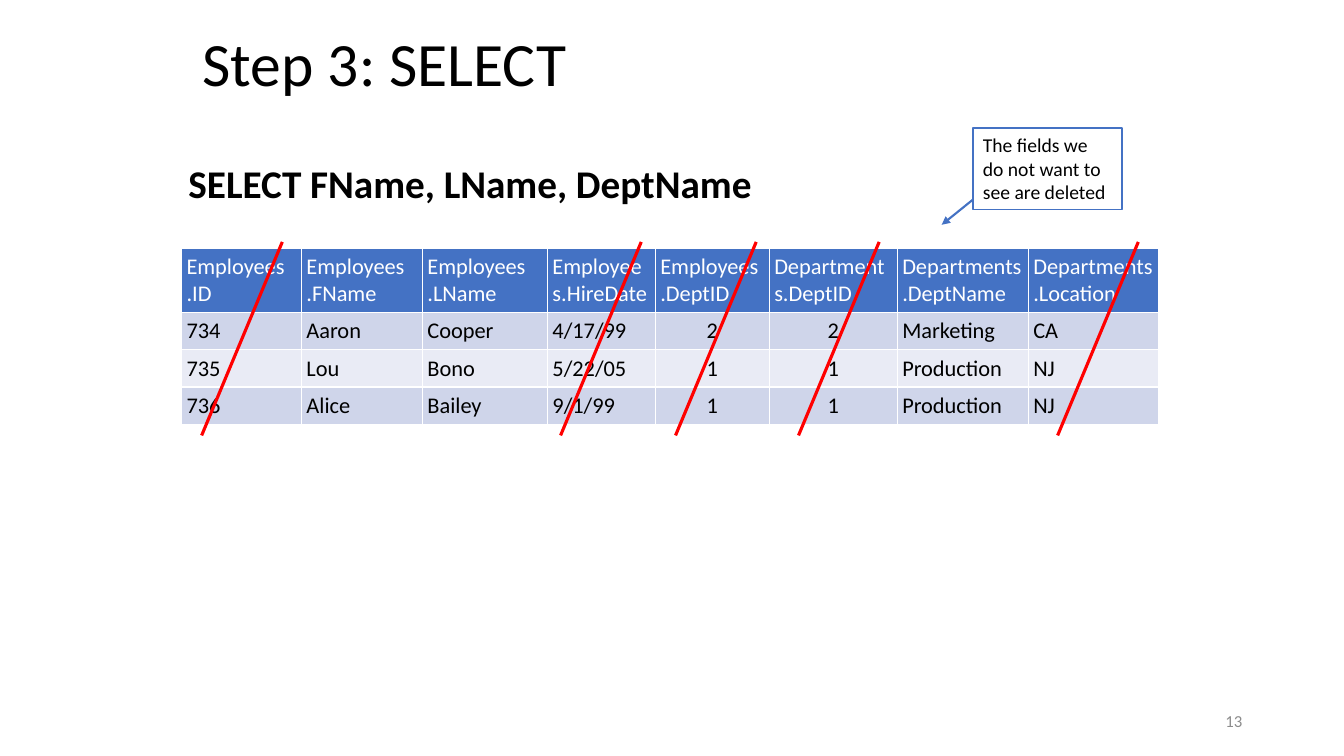
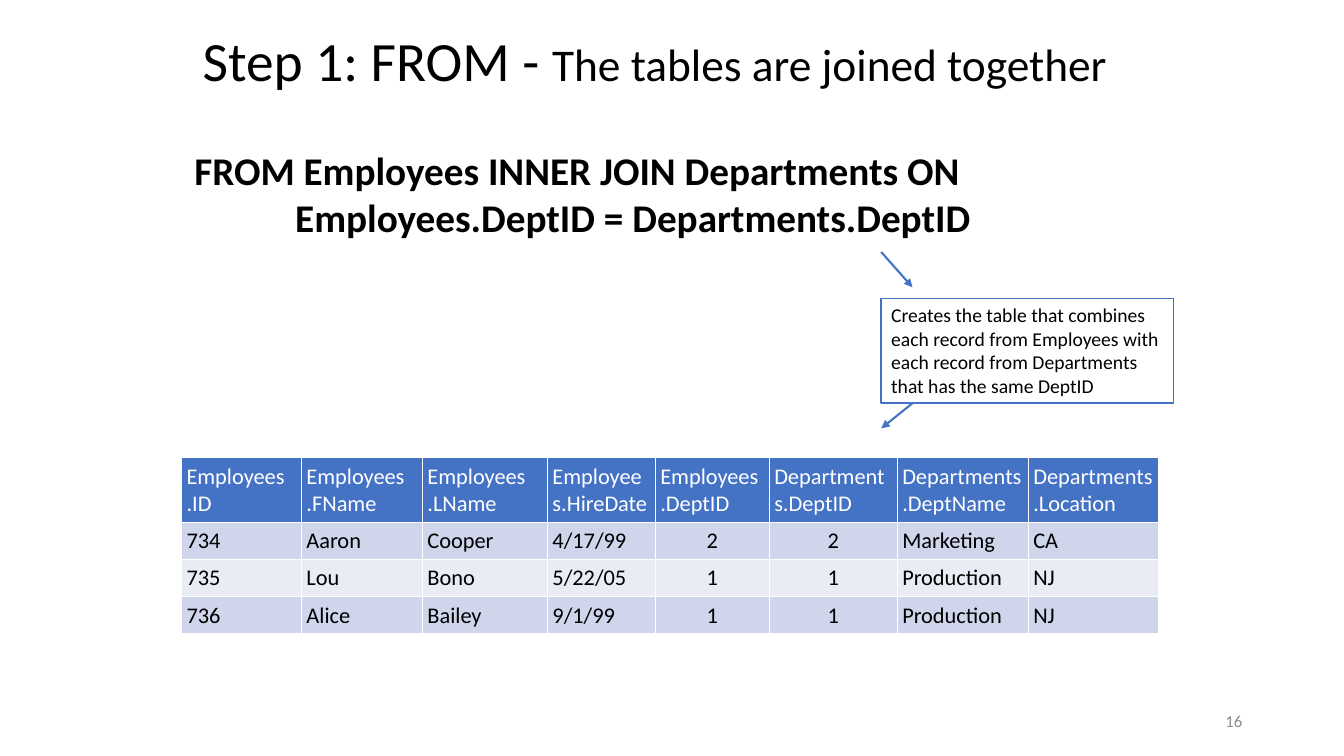
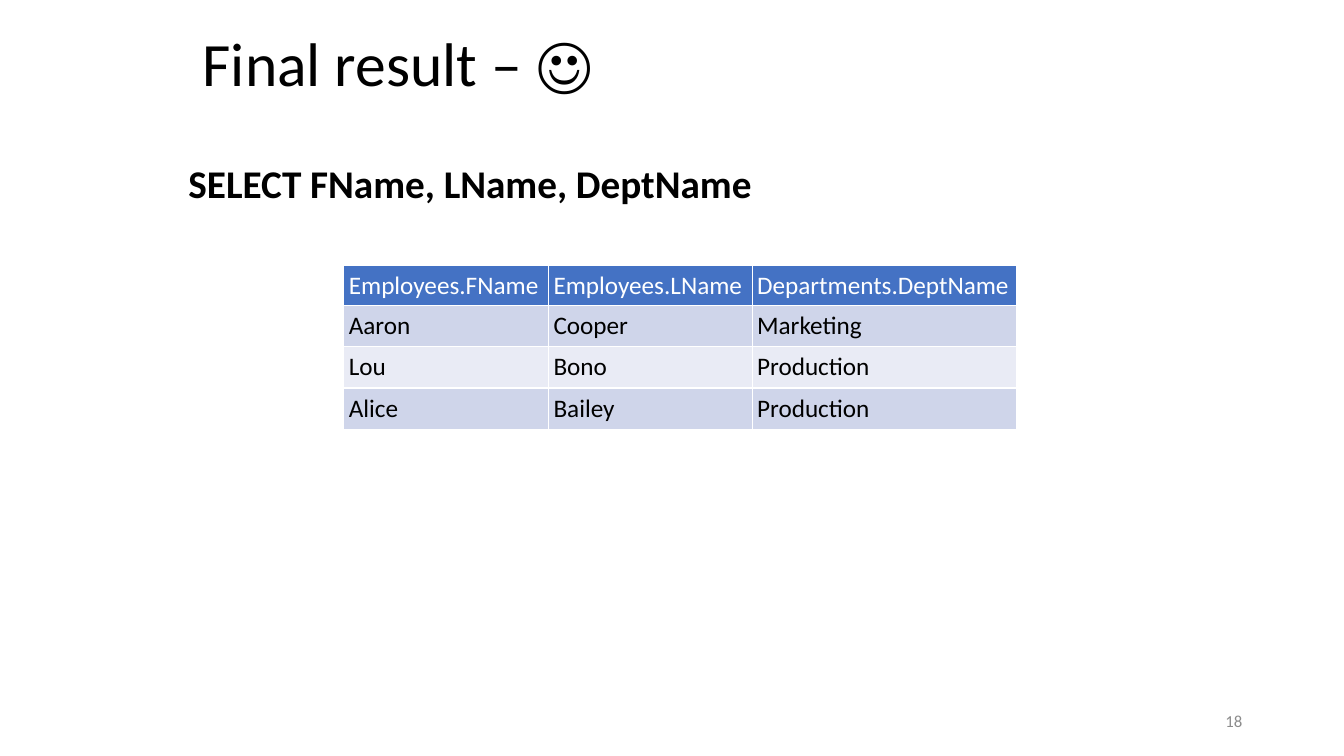
from dataclasses import dataclass
from typing import NamedTuple

from pptx import Presentation
from pptx import util as u
from pptx.dml.color import RGBColor
from pptx.enum import shapes, text
from pptx.oxml.ns import qn
from lxml import etree

PX = 9144  # EMU in one px, 100 px to the inch


# Theme and geometry
@dataclass(frozen=True)
class Theme:
    font: str = "Calibri"
    ink: str = "000000"
    paper: str = "FFFFFF"
    blue: str = "4472C4"
    red: str = "FF0000"
    gray: str = "8C8C8C"
    odd: str = "CFD5EA"
    even: str = "E9EBF5"
    title: float = 44
    query: float = 28
    note: float = 14
    foot: float = 12


class Box(NamedTuple):
    x: int
    y: int
    w: int
    h: int


class Line(NamedTuple):
    x1: int
    y1: int
    x2: int
    y2: int


@dataclass(frozen=True)
class Grid:
    x: int
    y: int
    cols: tuple[int, ...]
    head: int
    row: int
    size: float
    mid: tuple[int, ...] = ()


T = Theme()


# Shared data
ROWS = [
    ["Employees\n.ID", "Employees\n.FName", "Employees\n.LName", "Employees.HireDate",
     "Employees\n.DeptID", "Departments.DeptID", "Departments.DeptName", "Departments.Location"],
    ["734", "Aaron", "Cooper", "4/17/99", "2", "2", "Marketing", "CA"],
    ["735", "Lou", "Bono", "5/22/05", "1", "1", "Production", "NJ"],
    ["736", "Alice", "Bailey", "9/1/99", "1", "1", "Production", "NJ"],
]
KEPT = (1, 2, 6)
WIDTHS = (119, 120, 124, 107, 113, 127, 130, 129)
QUERY = Box(177, 153, 861, 57)
SELECT = "SELECT FName, LName, DeptName"


# Drawing helpers
def px(*nums: int) -> list[u.Emu]:
    return [u.Emu(n * PX) for n in nums]


def rgb(code: str) -> RGBColor:
    return RGBColor.from_string(code)


def style(frame, size: float, color: str = T.ink, bold: bool = False, align=text.PP_ALIGN.LEFT) -> None:
    for para in frame.paragraphs:
        para.alignment = align
        for run in para.runs:
            run.font.name = T.font
            run.font.size = u.Pt(size)
            run.font.bold = bold
            run.font.color.rgb = rgb(color)


def start(deck, num: str, parts: list[tuple[str, float]], top: int = 20):
    """Add a slide with its title and slide number."""
    slide = deck.slides.add_slide(deck.slide_layouts[5])
    title = slide.shapes.title
    title.left, title.top, title.width, title.height = px(191, top, 958, 92)
    frame = title.text_frame
    frame.vertical_anchor = text.MSO_ANCHOR.MIDDLE
    frame.auto_size = text.MSO_AUTO_SIZE.NONE
    para = frame.paragraphs[0]
    para.line_spacing = 0.9
    for words, _ in parts:
        para.add_run().text = words
    style(frame, T.title)
    for run, (_, size) in zip(para.runs, parts):
        run.font.size = u.Pt(size)
    foot = label(slide, Box(942, 695, 300, 40), num)
    foot.vertical_anchor = text.MSO_ANCHOR.MIDDLE
    style(foot, T.foot, T.gray, align=text.PP_ALIGN.RIGHT)
    return slide


def label(slide, box: Box, words: str):
    frame = slide.shapes.add_textbox(*px(*box)).text_frame
    frame.word_wrap = True
    frame.text = words
    return frame


def query(slide, box: Box, words: str, hang: int = 0) -> None:
    frame = label(slide, box, words)
    frame.auto_size = text.MSO_AUTO_SIZE.SHAPE_TO_FIT_TEXT
    if hang:
        props = frame.paragraphs[0]._p.get_or_add_pPr()
        props.set("marL", str(hang * PX))
        props.set("indent", str(-hang * PX))
    style(frame, T.query, bold=True)


def note(slide, box: Box, words: str) -> None:
    shape = slide.shapes.add_shape(shapes.MSO_SHAPE.RECTANGLE, *px(*box))
    shape.shadow.inherit = False
    shape.fill.solid()
    shape.fill.fore_color.rgb = rgb(T.paper)
    shape.line.color.rgb = rgb(T.blue)
    shape.line.width = u.Pt(1)
    frame = shape.text_frame
    frame.word_wrap = True
    frame.auto_size = text.MSO_AUTO_SIZE.SHAPE_TO_FIT_TEXT
    frame.vertical_anchor = text.MSO_ANCHOR.TOP
    frame.text = words
    style(frame, T.note)


def stroke(slide, line: Line, color: str, width: float, arrow: bool = False) -> None:
    link = slide.shapes.add_connector(shapes.MSO_CONNECTOR.STRAIGHT, *px(*line))
    link.line.color.rgb = rgb(color)
    link.line.width = u.Pt(width)
    if arrow:
        etree.SubElement(link.line._get_or_add_ln(), qn("a:tailEnd"), type="triangle")
    etree.SubElement(link._element.spPr, qn("a:effectLst"))


def arrow(slide, line: Line) -> None:
    stroke(slide, line, T.blue, 1.5, arrow=True)


def table(slide, grid: Grid, rows: list[list[str]]) -> None:
    high = grid.head + grid.row * (len(rows) - 1)
    area = px(grid.x, grid.y, sum(grid.cols), high)
    tab = slide.shapes.add_table(len(rows), len(grid.cols), *area).table
    for col, wide in zip(tab.columns, grid.cols):
        col.width = u.Emu(wide * PX)
    for r, row in enumerate(rows):
        tab.rows[r].height = u.Emu((grid.row if r else grid.head) * PX)
        fill = (T.odd if r % 2 else T.even) if r else T.blue
        for c, words in enumerate(row):
            cell = tab.cell(r, c)
            cell.margin_left, cell.margin_right, cell.margin_top, cell.margin_bottom = px(5, 5, 5, 5)
            cell.fill.solid()
            cell.fill.fore_color.rgb = rgb(fill)
            cell.text_frame.text = words
            mid = r > 0 and c in grid.mid
            style(cell.text_frame, grid.size, T.ink if r else T.paper,
                  align=text.PP_ALIGN.CENTER if mid else text.PP_ALIGN.LEFT)


def joined(slide, top: int) -> None:
    table(slide, Grid(180, top, WIDTHS, 64, 37, 16, mid=(4, 5)), ROWS)


# Slides
def drop(deck) -> None:
    slide = start(deck, "13", [("Step 3: SELECT", T.title)])
    joined(slide, 246)
    query(slide, QUERY, SELECT)
    note(slide, Box(965, 127, 148, 81), "The fields we do not want to see are deleted")
    arrow(slide, Line(965, 198, 934, 223))
    for x in (200, 556, 670, 792, 1049):
        stroke(slide, Line(x, 432, x + 80, 240), T.red, 2.25)


def join(deck) -> None:
    slide = start(deck, "16", [("Step 1: FROM - ", 39.6), ("The tables are joined together", 32.4)], 17)
    query(slide, Box(183, 140, 976, 104),
          "FROM Employees INNER JOIN Departments ON Employees.DeptID = Departments.DeptID", hang=100)
    note(slide, Box(874, 296, 290, 104),
         "Creates the table that combines each record from Employees with "
         "each record from Departments that has the same DeptID")
    arrow(slide, Line(874, 250, 905, 285))
    arrow(slide, Line(905, 400, 874, 425))
    joined(slide, 454)


def final(deck) -> None:
    slide = start(deck, "18", [("Final result – ☺", T.title)])
    rows = [[row[c].replace("\n", "") for c in KEPT] for row in ROWS]
    table(slide, Grid(341, 263, (203, 202, 262), 40, 41, 18), rows)
    query(slide, QUERY, SELECT)


def main() -> None:
    deck = Presentation()
    deck.slide_width, deck.slide_height = px(1333, 750)
    for draw in (drop, join, final):
        draw(deck)
    deck.save("out.pptx")


if __name__ == "__main__":
    main()
